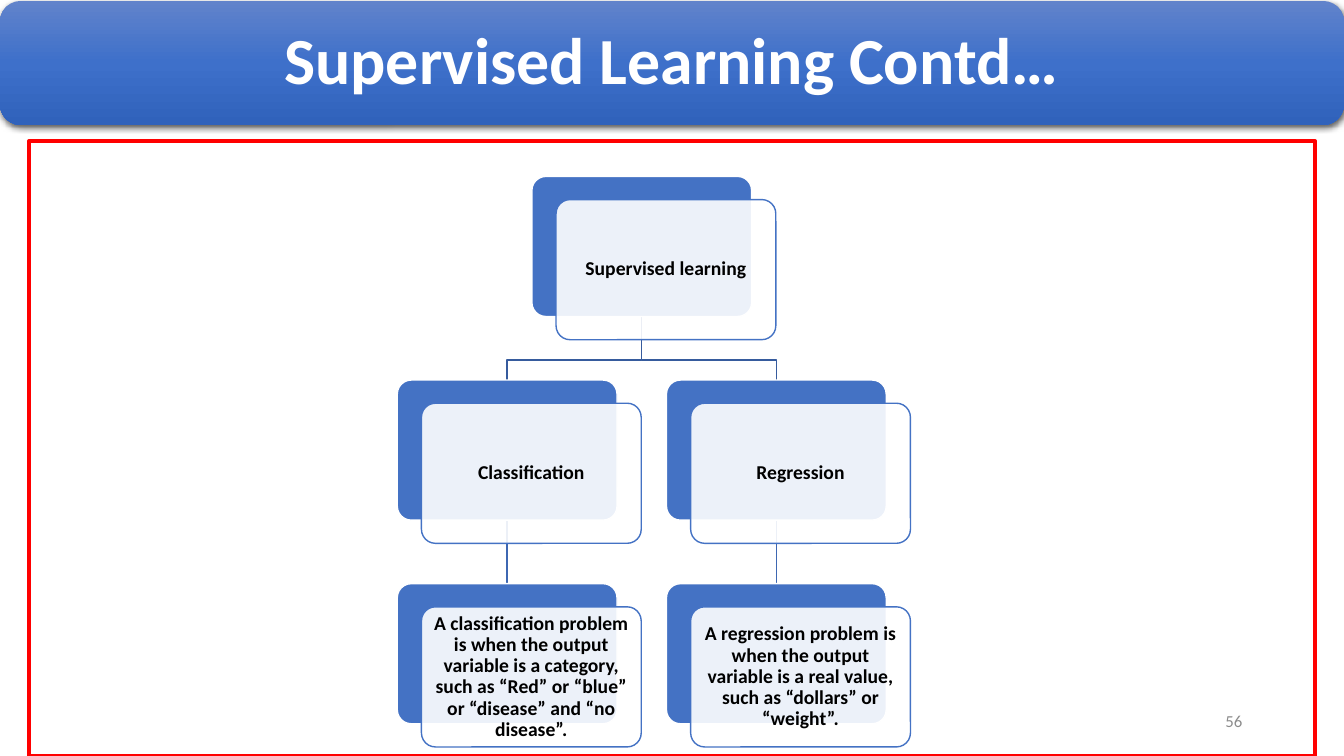
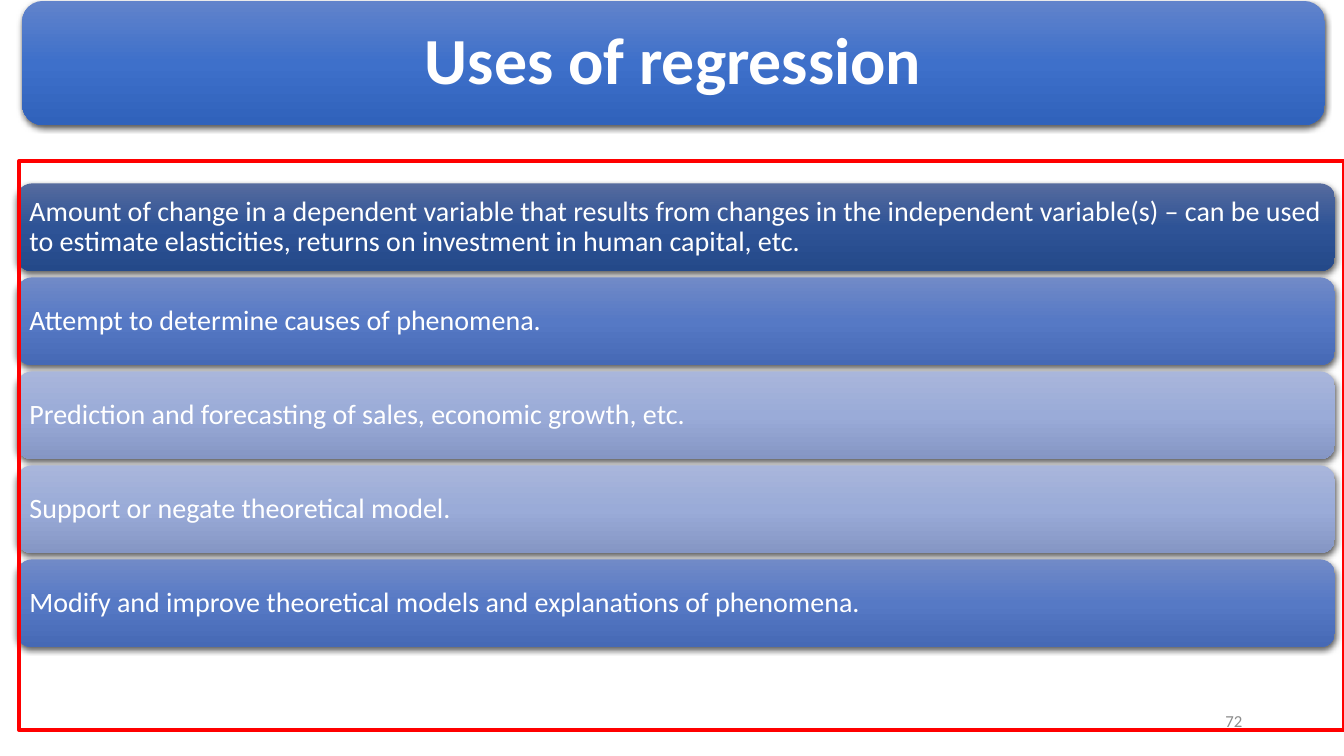
from lxml import etree
from pptx import Presentation
from pptx.dml.color import RGBColor
from pptx.enum.shapes import MSO_CONNECTOR, MSO_SHAPE
from pptx.enum.text import MSO_ANCHOR, PP_ALIGN
from pptx.oxml import parse_xml
from pptx.oxml.ns import nsdecls, qn
from pptx.util import Inches, Pt

FONT = "Calibri"
COLORS = {
    "white": "FFFFFF",
    "black": "000000",
    "gray": "8C8C8C",
    "frame": "FF0000",
    "node": "4472C4",
    "upper branch": "365B9D",
    "lower branch": "3E67B2",
}
GRADIENTS = {
    "title": ("6183CB", "3E70CA", "3062BB"),
    "dark": ("566B9E", "2E5396", "244989"),
    "medium": ("718AC7", "5679C5", "4669B5"),
    "light": ("A9B6DB", "9AABD8", "8596C4"),
}

NODE_WIDTH, NODE_HEIGHT = 2.18, 1.39
TREE_LEFT, TREE_TOP = 3.94, 1.75
COLUMN_STEP, LEVEL_STEP = 2.67, 2.02
CARD_OFFSET_X, CARD_OFFSET_Y = 0.24, 0.23
BRANCH_RISE = 0.2

# Column, level and text of each node
NODES = [
    (0.5, 0, "Supervised learning"),
    (0, 1, "Classification"),
    (0, 2, "A classification problem is when the output variable is a category, "
           "such as “Red” or “blue” or “disease” and “no disease”."),
    (1, 1, "Regression"),
    (1, 2, "A regression problem is when the output variable is a real value, "
           "such as “dollars” or “weight”."),
]

BAR_TOP, BAR_HEIGHT, BAR_STEP = 1.82, 0.87, 0.9325
USES = [
    ("dark", "Amount of change in a dependent variable that results from changes in the "
             "independent variable(s) – can be used to estimate elasticities, returns on "
             "investment in human capital, etc."),
    ("medium", "Attempt to determine causes of phenomena."),
    ("light", "Prediction and forecasting of sales, economic growth, etc."),
    ("light", "Support or negate theoretical model."),
    ("medium", "Modify and improve theoretical models and explanations of phenomena."),
]


def color(name):
    return RGBColor.from_string(COLORS[name])


def write_text(shape, text, size, color_name="white", bold=False,
               align=PP_ALIGN.CENTER, inset=None, line_spacing=0.9):
    frame = shape.text_frame
    frame.word_wrap = True
    frame.vertical_anchor = MSO_ANCHOR.MIDDLE
    if inset is not None:
        frame.margin_left = frame.margin_right = Inches(inset)
        frame.margin_top = frame.margin_bottom = Inches(inset)
    paragraph = frame.paragraphs[0]
    paragraph.text = text
    paragraph.alignment = align
    paragraph.line_spacing = line_spacing
    paragraph.font.name = FONT
    paragraph.font.size = Pt(size)
    paragraph.font.bold = bold
    paragraph.font.color.rgb = color(color_name)


class Deck:
    """Holds the shared style and the slide being built."""

    def __init__(self):
        self.presentation = Presentation()
        self.presentation.slide_width = Inches(13.33)
        self.presentation.slide_height = Inches(7.5)
        self.slide = None

    def add_slide(self, title, title_left, title_width):
        self.slide = self.presentation.slides.add_slide(self.presentation.slide_layouts[6])
        band = self.glossy_bar(title_left, 0.01, title_width, 1.23, "title")
        write_text(band, title, 47, bold=True, inset=0.2)

    def box(self, left, top, width, height, fill=None, line=None,
            line_width=1, preset=MSO_SHAPE.ROUNDED_RECTANGLE):
        shape = self.slide.shapes.add_shape(
            preset, Inches(left), Inches(top), Inches(width), Inches(height))
        shape.shadow.inherit = False
        if fill:
            shape.fill.solid()
            shape.fill.fore_color.rgb = color(fill)
        else:
            shape.fill.background()
        if line:
            shape.line.color.rgb = color(line)
            shape.line.width = Pt(line_width)
        else:
            shape.line.fill.background()
        return shape

    def glossy_bar(self, left, top, width, height, gradient):
        """Rounded bar with a vertical three-stop gradient and a soft shadow."""
        shape = self.box(left, top, width, height)
        properties = shape._element.spPr
        stops = "".join(
            f'<a:gs pos="{position}"><a:srgbClr val="{value}"/></a:gs>'
            for position, value in zip((0, 50000, 100000), GRADIENTS[gradient]))
        properties.replace(properties.find(qn("a:noFill")), parse_xml(
            f'<a:gradFill {nsdecls("a")} rotWithShape="1"><a:gsLst>{stops}</a:gsLst>'
            '<a:lin ang="5400000" scaled="0"/></a:gradFill>'))
        properties.find(qn("a:effectLst")).append(parse_xml(
            f'<a:outerShdw {nsdecls("a")} blurRad="{Pt(4.5)}" dist="{Pt(1.5)}" '
            'dir="5400000" algn="ctr" rotWithShape="0">'
            f'<a:srgbClr val="{COLORS["black"]}"><a:alpha val="63000"/></a:srgbClr>'
            '</a:outerShdw>'))
        return shape

    def node(self, column, level, text):
        """Solid block with an offset, nearly opaque card that carries the text."""
        left = TREE_LEFT + column * COLUMN_STEP
        top = TREE_TOP + level * LEVEL_STEP
        block = self.box(left, top, NODE_WIDTH, NODE_HEIGHT, "node", "white")
        card = self.box(left + CARD_OFFSET_X, top + CARD_OFFSET_Y,
                        NODE_WIDTH, NODE_HEIGHT, "white", "node")
        for shape in (block, card):
            shape.adjustments[0] = 0.1
        card_color = card._element.spPr.find(qn("a:solidFill"))[0]
        etree.SubElement(card_color, qn("a:alpha"), val="90000")
        write_text(card, text, 14, "black", bold=True, inset=0.06)

    def branch(self, parent_column, child_column, parent_level, line):
        """Line from the foot of a parent node to the top of its child."""
        start_x, end_x = (Inches(TREE_LEFT + column * COLUMN_STEP + NODE_WIDTH / 2)
                          for column in (parent_column, child_column))
        parent_top = TREE_TOP + parent_level * LEVEL_STEP
        start_y = Inches(parent_top + NODE_HEIGHT)
        end_y = Inches(parent_top + LEVEL_STEP)
        if start_x == end_x:
            shape = self.slide.shapes.add_connector(
                MSO_CONNECTOR.STRAIGHT, start_x, start_y, end_x, end_y)
            etree.SubElement(shape._element.spPr, qn("a:effectLst"))
        else:
            bend_y = end_y - Inches(BRANCH_RISE)
            builder = self.slide.shapes.build_freeform(start_x, start_y)
            builder.add_line_segments(
                [(start_x, bend_y), (end_x, bend_y), (end_x, end_y)], close=False)
            shape = builder.convert_to_shape()
            shape.fill.background()
            shape.shadow.inherit = False
        shape.line.color.rgb = color(line)
        shape.line.width = Pt(1)

    def page_number(self, number):
        shape = self.slide.shapes.add_textbox(
            Inches(9.42), Inches(6.95), Inches(3), Inches(0.4))
        write_text(shape, str(number), 12, "gray", align=PP_ALIGN.RIGHT, line_spacing=1)

    def red_frame(self, left, top, width, height):
        self.box(left, top, width, height, line="frame", line_width=3,
                 preset=MSO_SHAPE.RECTANGLE)


def build_learning_tree(deck):
    deck.add_slide("Supervised Learning Contd…", 0, 13.33)
    for column in (1, 0):
        deck.branch(column, column, 1, "lower branch")
        deck.branch(0.5, column, 0, "upper branch")
    for column, level, text in NODES:
        deck.node(column, level, text)
    deck.page_number(56)
    deck.red_frame(0.29, 1.4, 12.75, 6.1)


def build_regression_uses(deck):
    deck.add_slide("Uses of regression", 0.22, 12.92)
    for index, (gradient, text) in enumerate(USES):
        bar = deck.glossy_bar(0.17, BAR_TOP + index * BAR_STEP, 13.07, BAR_HEIGHT, gradient)
        write_text(bar, text, 20, align=PP_ALIGN.LEFT, inset=0.08)
    deck.page_number(72)
    deck.red_frame(0.19, 1.6, 13.14, 5.64)


def main():
    deck = Deck()
    build_learning_tree(deck)
    build_regression_uses(deck)
    deck.presentation.save("out.pptx")


if __name__ == "__main__":
    main()
